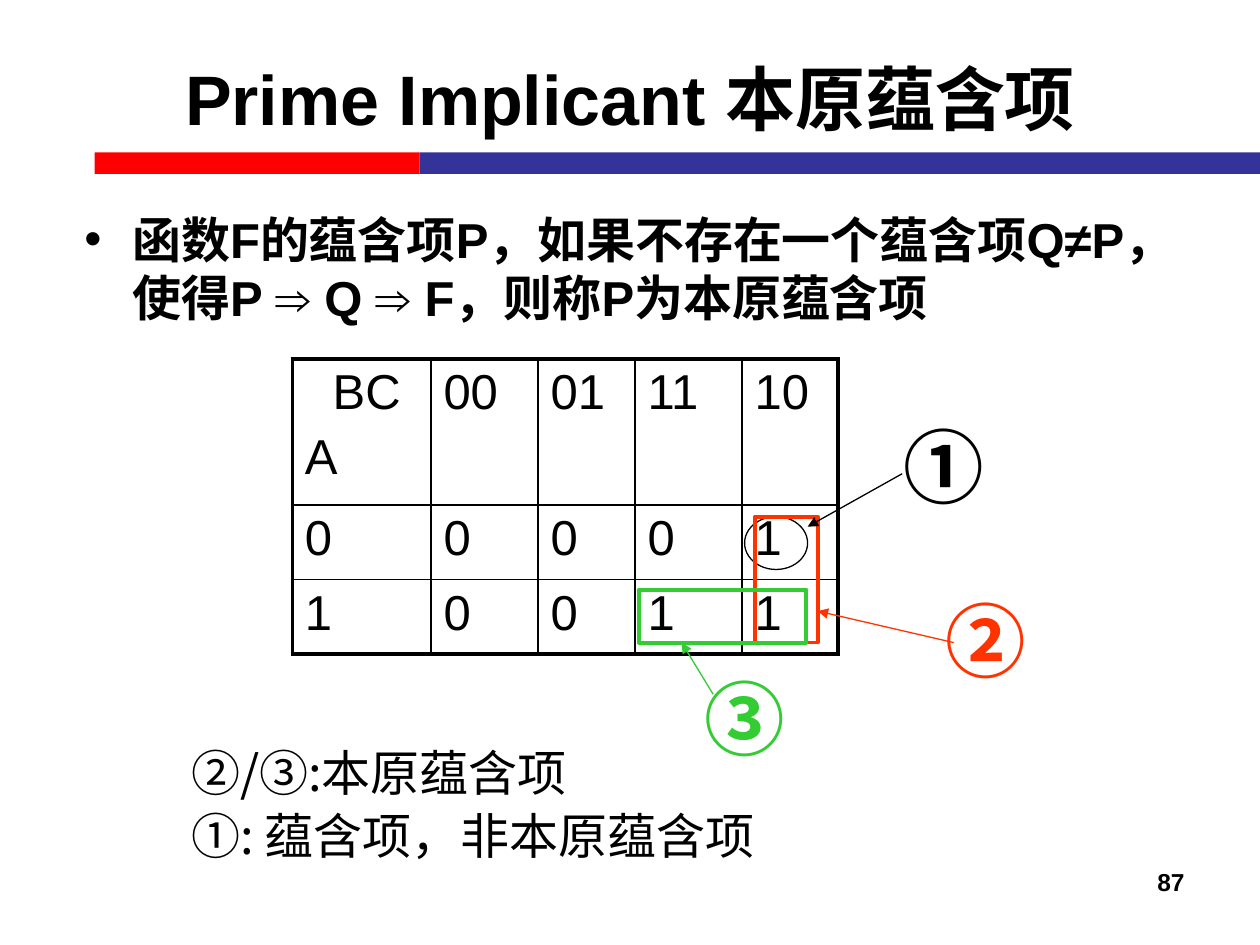
from dataclasses import dataclass

from lxml.etree import SubElement
from pptx import Presentation
from pptx.dml.color import RGBColor
from pptx.enum.shapes import MSO_CONNECTOR, MSO_SHAPE
from pptx.enum.text import MSO_ANCHOR, MSO_AUTO_SIZE, PP_ALIGN
from pptx.oxml.ns import qn
from pptx.slide import Slide
from pptx.table import _Cell
from pptx.text.text import _Paragraph
from pptx.util import Inches, Pt


@dataclass(frozen=True)
class Theme:
    latin: str = "Arial"
    cjk: str = "Noto Sans CJK SC"
    black: str = "000000"
    red: str = "FF0000"
    blue: str = "333399"
    orange: str = "FF3300"
    green: str = "33CC33"
    title: int = 40
    body: int = 28
    label: int = 46
    number: int = 14
    thin: float = 0.75
    inner: float = 1
    thick: float = 2.25


T = Theme()


@dataclass(frozen=True)
class Box:
    x: float
    y: float
    w: float
    h: float

    def lengths(self) -> tuple:
        return tuple(Inches(v) for v in (self.x, self.y, self.w, self.h))


@dataclass(frozen=True)
class Loop:
    kind: MSO_SHAPE
    box: Box
    color: str
    width: float


@dataclass(frozen=True)
class Callout:
    text: str
    box: Box
    color: str
    start: tuple
    tip: tuple


BARS = [(Box(0.75, 1.21, 2.58, 0.17), T.red), (Box(3.33, 1.21, 6.67, 0.17), T.blue)]
COLS = [1.1, 0.85, 0.77, 0.85, 0.76]
ROWS = [1.16, 0.59, 0.59]
KMAP = [["BC\nA", "00", "01", "11", "10"], list("00001"), list("10011")]
LOOPS = [
    Loop(MSO_SHAPE.OVAL, Box(5.91, 4.1, 0.5, 0.42), T.black, T.thin),
    Loop(MSO_SHAPE.RECTANGLE, Box(5.99, 4.1, 0.5, 1), T.orange, T.thick),
    Loop(MSO_SHAPE.RECTANGLE, Box(5.07, 4.68, 1.33, 0.42), T.green, T.thick),
]
CALLOUTS = [
    Callout("①", Box(7.07, 3.26, 0.75, 0.87), T.black, (7.16, 3.76), (6.41, 4.18)),
    Callout("②", Box(7.41, 4.64, 0.83, 0.87), T.orange, (7.57, 5.1), (6.49, 4.85)),
    Callout("③", Box(5.49, 5.26, 0.83, 0.87), T.green, (5.66, 5.51), (5.41, 5.1)),
]
NOTES = [
    ("①: 蕴含项，非本原蕴含项", Box(1.42, 6.34, 4.91, 0.57)),
    ("②/③:本原蕴含项", Box(1.42, 5.84, 3.36, 0.57)),
]


def add_run(p: _Paragraph, text: str, size: int, bold: bool = False,
            color: str = T.black, font: str = T.latin) -> None:
    r = p.add_run()
    r.text = text
    r.font.size, r.font.bold, r.font.name = Pt(size), bold, font
    r.font.color.rgb = RGBColor.from_string(color)
    SubElement(r.font._element, qn("a:ea"), typeface=T.cjk)


def add_text(s: Slide, box: Box, text: str, size: int, bold: bool = False, color: str = T.black,
             font: str = T.cjk, align: PP_ALIGN = PP_ALIGN.LEFT, wrap: bool = True) -> None:
    tf = s.shapes.add_textbox(*box.lengths()).text_frame
    tf.word_wrap = wrap
    p = tf.paragraphs[0]
    p.alignment = align
    add_run(p, text, size, bold, color, font)


def add_bar(s: Slide, box: Box, color: str) -> None:
    sp = s.shapes.add_shape(MSO_SHAPE.RECTANGLE, *box.lengths())
    sp.shadow.inherit = False
    sp.fill.solid()
    sp.fill.fore_color.rgb = RGBColor.from_string(color)
    sp.line.fill.background()


def add_loop(s: Slide, loop: Loop) -> None:
    sp = s.shapes.add_shape(loop.kind, *loop.box.lengths())
    sp.shadow.inherit = False
    sp.fill.background()
    sp.line.color.rgb = RGBColor.from_string(loop.color)
    sp.line.width = Pt(loop.width)


def add_callout(s: Slide, c: Callout) -> None:
    ends = [Inches(v) for v in c.start + c.tip]
    cx = s.shapes.add_connector(MSO_CONNECTOR.STRAIGHT, *ends)
    cx.line.color.rgb = RGBColor.from_string(c.color)
    cx.line.width = Pt(T.thin)
    SubElement(cx.line._get_or_add_ln(), qn("a:tailEnd"), type="triangle")
    SubElement(cx._element.spPr, qn("a:effectLst"))
    add_text(s, c.box, c.text, T.label, True, c.color)


def set_borders(cell: _Cell, outer: dict[str, bool]) -> None:
    tcPr = cell._tc.get_or_add_tcPr()
    for i, (side, is_outer) in enumerate(outer.items()):
        width = Pt(T.thick if is_outer else T.inner)
        ln = SubElement(tcPr, qn(f"a:ln{side}"), w=str(width))
        SubElement(SubElement(ln, qn("a:solidFill")), qn("a:srgbClr"), val=T.black)
        tcPr.insert(i, ln)


def add_kmap(s: Slide) -> None:
    box = Box(2.32, 2.85, sum(COLS), sum(ROWS))
    tbl = s.shapes.add_table(len(ROWS), len(COLS), *box.lengths()).table
    tbl.first_row = tbl.horz_banding = False
    for col, w in zip(tbl.columns, COLS):
        col.width = Inches(w)
    for i, (row, h) in enumerate(zip(tbl.rows, ROWS)):
        row.height = Inches(h)
        for j, cell in enumerate(row.cells):
            cell.fill.background()
            set_borders(cell, {"L": j == 0, "R": j == len(COLS) - 1,
                               "T": i == 0, "B": i == len(ROWS) - 1})
            tf = cell.text_frame
            for k, line in enumerate(KMAP[i][j].split("\n")):
                p = tf.add_paragraph() if k else tf.paragraphs[0]
                p.alignment = PP_ALIGN.JUSTIFY
                p.space_before = Pt(0.2 * T.body if k else 0)
                if line == "BC":
                    p._p.get_or_add_pPr().set("marL", str(Inches(0.22)))
                add_run(p, line, T.body)


def fill_placeholders(s: Slide) -> None:
    title, body = s.placeholders[0], s.placeholders[1]
    title.left, title.top, title.width, title.height = Box(0.5, 0.15, 9, 1.25).lengths()
    title.text_frame.vertical_anchor = MSO_ANCHOR.MIDDLE
    p = title.text_frame.paragraphs[0]
    p.alignment = PP_ALIGN.CENTER
    add_run(p, "Prime Implicant 本原蕴含项", T.title, True)

    body.left, body.top, body.width, body.height = Box(0.57, 1.61, 9, 1.51).lengths()
    body.text_frame.auto_size = MSO_AUTO_SIZE.NONE
    p = body.text_frame.paragraphs[0]
    p.space_before = Pt(0)
    pPr = p._p.get_or_add_pPr()
    pPr.set("marL", str(Inches(0.38)))
    pPr.set("indent", str(Inches(-0.38)))
    SubElement(pPr, qn("a:buChar"), char="•")
    add_run(p, "函数F的蕴含项P，如果不存在一个蕴含项Q≠P，使得P ⇒ Q ⇒ F，则称P为本原蕴含项", T.body, True)


def main() -> None:
    prs = Presentation()
    prs.slide_width, prs.slide_height = Inches(10), Inches(7.5)
    s = prs.slides.add_slide(prs.slide_layouts[1])
    for box, color in BARS:
        add_bar(s, box, color)
    fill_placeholders(s)
    add_kmap(s)
    add_text(s, Box(7.17, 6.83, 2.33, 0.52), "87", T.number, True, font=T.latin,
             align=PP_ALIGN.RIGHT)
    for loop in LOOPS:
        add_loop(s, loop)
    for callout in CALLOUTS:
        add_callout(s, callout)
    for text, box in NOTES:
        add_text(s, box, text, T.body, wrap=False)
    prs.save("out.pptx")


if __name__ == "__main__":
    main()
